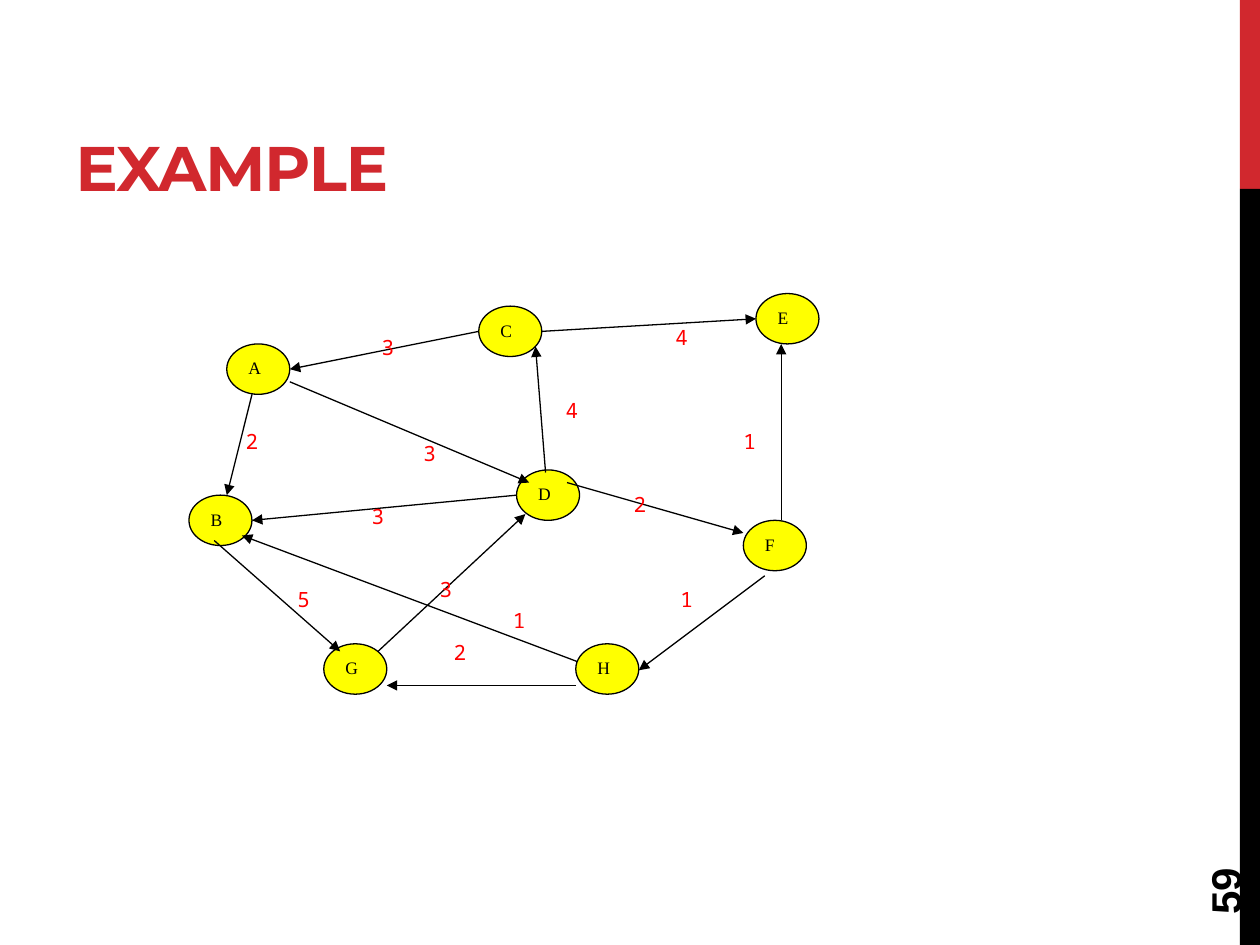
import pptx
import pptx.dml.color
import pptx.enum.shapes
import pptx.enum.text
import pptx.oxml
import pptx.oxml.ns
import pptx.util

PX = 9144  # EMU; 100 px to the inch
RED = pptx.dml.color.RGBColor(0xD1, 0x28, 0x2E)
LABEL_RED = pptx.dml.color.RGBColor(0xFF, 0x00, 0x00)
YELLOW = pptx.dml.color.RGBColor(0xFF, 0xFF, 0x00)
BLACK = pptx.dml.color.RGBColor(0x00, 0x00, 0x00)

SHAPE = pptx.enum.shapes.MSO_SHAPE
ALIGN = pptx.enum.text.PP_ALIGN
ANCHOR = pptx.enum.text.MSO_ANCHOR

NODE_SIZE = (50, 40)
LABEL_SIZE = (70, 33)

# Left and top of each node, relative to the graph
NODES = {
    "A": (30, 40), "B": (0, 160), "C": (230, 10), "D": (260, 140),
    "E": (450, 0), "F": (440, 180), "G": (107, 278), "H": (307, 278),
}

# Start, end, weight and centre of the weight, relative to the graph
EDGES = [
    ((230, 30), (80, 60), "3", (158, 42)),     # C to A
    ((280, 30), (450, 20), "4", (391, 34)),    # C to E
    ((50, 80), (30, 160), "2", (50, 117)),     # A to B
    ((80, 70), (270, 150), "3", (191, 126)),   # A to D
    ((283, 142), (275, 42), "4", (304, 92)),   # D to C
    ((260, 160), (50, 180), "3", (150, 176)),  # D to B
    ((300, 150), (440, 190), "2", (358, 167)),  # D to F
    ((470, 180), (470, 40), "1", (445, 117)),  # F to E
    ((457, 224), (357, 299), "1", (395, 242)),  # F to H
    ((20, 196), (120, 284), "5", (91, 242)),   # B to G
    ((150, 284), (267, 175), "3", (204, 234)),  # G to D
    ((308, 292), (42, 192), "1", (262, 259)),  # H to B
    ((307, 311), (157, 311), "2", (215, 284)),  # H to G
]


def scaled(*lengths):
    return [length * PX for length in lengths]


def write(shape, text, font, size, color, align, anchor, bold=False):
    frame = shape.text_frame
    frame.text = text
    frame.vertical_anchor = anchor
    para = frame.paragraphs[0]
    para.alignment = align
    span = para.runs[0]
    span.font.name = font
    span.font.size = pptx.util.Pt(size)
    span.font.bold = bold
    span.font.color.rgb = color
    return span


def add_side_band(page, left, top, width, height):
    """Draw the edge band: a red fifth above a black remainder."""
    red_height = height // 5
    parts = [(top, red_height, RED), (top + red_height, height - red_height, BLACK)]
    for part_top, part_height, color in parts:
        band = page.shapes.add_shape(
            SHAPE.RECTANGLE, *scaled(left, part_top, width, part_height))
        band.shadow.inherit = False
        band.fill.solid()
        band.fill.fore_color.rgb = color
        band.line.fill.background()


def place_title(page, left, top, width, height):
    title = page.shapes.title
    title.left, title.top, title.width, title.height = scaled(left, top, width, height)
    span = write(title, "EXAMPLE", "Montserrat", 36, RED, ALIGN.LEFT, ANCHOR.BOTTOM, True)
    span.font._element.set("spc", "-60")
    title.text_frame.auto_size = pptx.enum.text.MSO_AUTO_SIZE.NONE


def add_page_number(page, left, top, width, height):
    box = page.shapes.add_textbox(*scaled(left, top, width, height))
    box.rotation = 270
    box.text_frame.word_wrap = True
    write(box, "59", "Arial", 24, BLACK, ALIGN.LEFT, ANCHOR.MIDDLE, True)


def add_node(page, left, top, name):
    node = page.shapes.add_shape(SHAPE.OVAL, *scaled(left, top, *NODE_SIZE))
    node.shadow.inherit = False
    node.fill.solid()
    node.fill.fore_color.rgb = YELLOW
    node.line.color.rgb = BLACK
    node.line.width = pptx.util.Pt(0.75)
    write(node, name, "Times New Roman", 10, BLACK, ALIGN.JUSTIFY, ANCHOR.TOP)


def add_arrow(page, start, end):
    arrow = page.shapes.add_connector(
        pptx.enum.shapes.MSO_CONNECTOR.STRAIGHT, *scaled(*start, *end))
    arrow.line.color.rgb = BLACK
    arrow.line.width = pptx.util.Pt(0.75)
    tail = pptx.oxml.parse_xml(
        '<a:tailEnd %s type="triangle"/>' % pptx.oxml.ns.nsdecls("a"))
    arrow.line._get_or_add_ln().append(tail)
    no_shadow = pptx.oxml.parse_xml("<a:effectLst %s/>" % pptx.oxml.ns.nsdecls("a"))
    arrow._element.spPr.append(no_shadow)


def add_weight(page, center_x, center_y, weight):
    width, height = LABEL_SIZE
    box = page.shapes.add_textbox(
        *scaled(center_x - width // 2, center_y - height // 2, width, height))
    box.text_frame.word_wrap = False
    write(box, weight, "Noto Sans Mono", 12, LABEL_RED, ALIGN.CENTER, ANCHOR.MIDDLE)


def add_graph(page, left, top):
    def moved(point):
        return left + point[0], top + point[1]

    for name, corner in NODES.items():
        add_node(page, *moved(corner), name)
    for start, end, weight, center in EDGES:
        add_arrow(page, moved(start), moved(end))
        add_weight(page, *moved(center), weight)


def main():
    deck = pptx.Presentation()
    deck.slide_width, deck.slide_height = scaled(1000, 750)
    page = deck.slides.add_slide(deck.slide_layouts.get_by_name("Title Only"))
    add_side_band(page, 984, 0, 16, 750)
    place_title(page, 50, 17, 633, 150)
    add_page_number(page, 900, 644, 144, 40)
    add_graph(page, 150, 233)
    deck.save("out.pptx")


if __name__ == "__main__":
    main()
